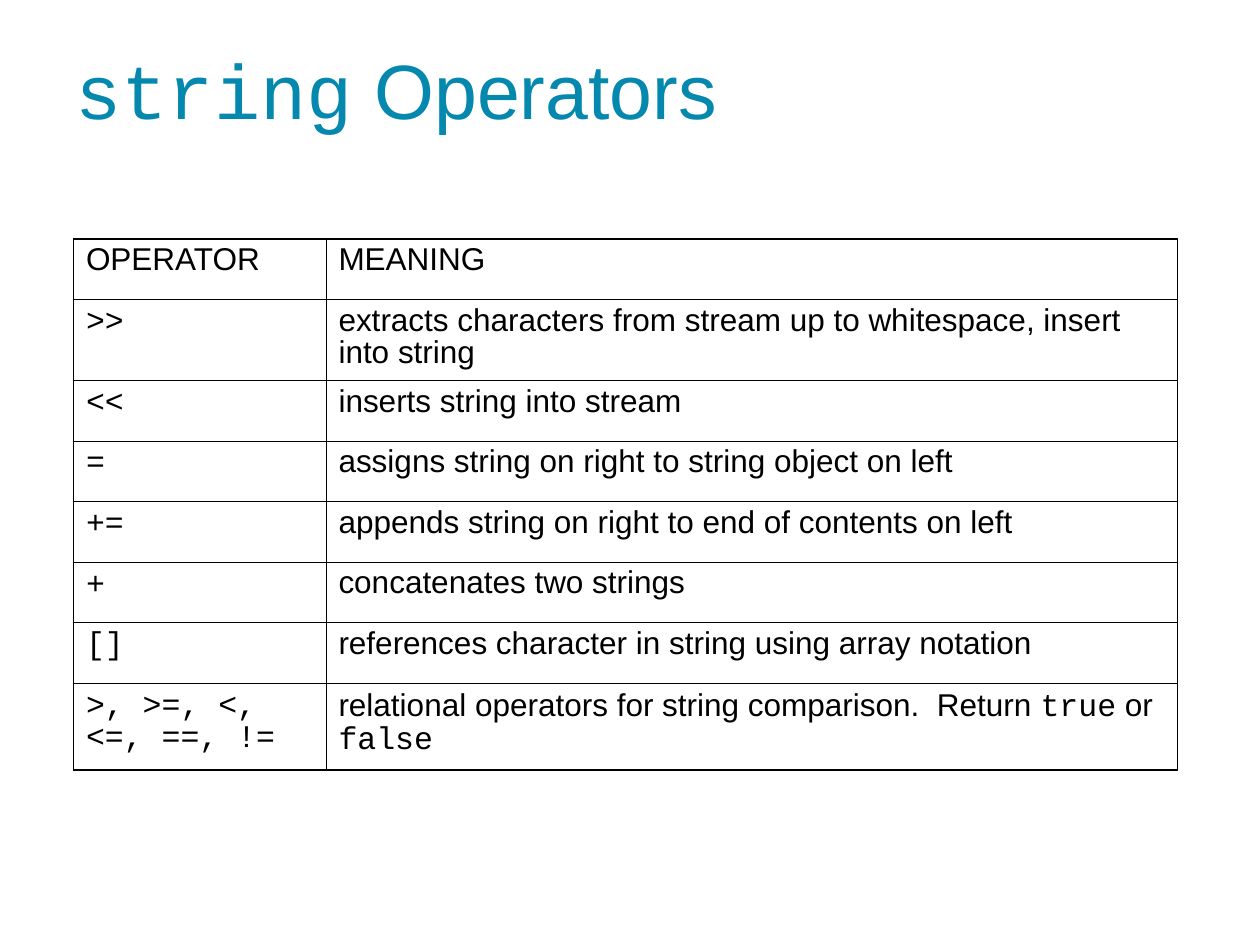
"""Build a slide with a table of the string operators."""
from lxml import etree
from pptx import Presentation
from pptx import util as u
from pptx.dml.color import RGBColor
from pptx.enum import text
from pptx.oxml.ns import qn

SANS, MONO = "Arial", "Courier New"
THIN, THICK = 0.45, 1.08


def add_run(paragraph, words, font_name, size, color):
    run = paragraph.add_run()
    run.text = words
    run.font.name = font_name
    run.font.size = u.Pt(size)
    run.font.bold = False
    run.font.color.rgb = RGBColor.from_string(color)


def add_border(cell, side, width):
    properties = cell._tc.get_or_add_tcPr()
    line = etree.SubElement(properties, qn(f"a:ln{side}"), w=str(u.Pt(width)))
    fill = etree.SubElement(line, qn("a:solidFill"))
    etree.SubElement(fill, qn("a:srgbClr"), val="000000")


presentation = Presentation()
presentation.slide_width, presentation.slide_height = u.Cm(25.4), u.Cm(19.05)
slide = presentation.slides.add_slide(presentation.slide_layouts[5])

title = slide.shapes.title
title.left, title.top, title.width, title.height = u.Cm(1.27), u.Cm(0.2), u.Cm(21.16), u.Cm(3.18)
title.text_frame.vertical_anchor = text.MSO_ANCHOR.MIDDLE
title_paragraph = title.text_frame.paragraphs[0]
title_paragraph.alignment = text.PP_ALIGN.LEFT
add_run(title_paragraph, "string", MONO, 44, "0488AE")
add_run(title_paragraph, " Operators", SANS, 44, "0488AE")

operators = [
    (">>", "extracts characters from stream up to whitespace, insert into string"),
    ("<<", "inserts string into stream"),
    ("=", "assigns string on right to string object on left"),
    ("+=", "appends string on right to end of contents on left"),
    ("+", "concatenates two strings"),
    ("[]", "references character in string using array notation"),
]
rows = [([[("OPERATOR", SANS)]], [[("MEANING", SANS)]])]
rows += [([[(symbol, MONO)]], [[(meaning, SANS)]]) for symbol, meaning in operators]
rows.append((
    [[(">, >=, <,", MONO)], [("<=, ==, !=", MONO)]],
    [[("relational operators for string comparison.  Return ", SANS),
      ("true", MONO), (" or ", SANS), ("false", MONO)]],
))
column_widths = [5.09, 17.17]
row_heights = [1.22, 1.63] + [1.22] * 5 + [1.75]

frame = slide.shapes.add_table(
    len(rows), len(column_widths), u.Cm(1.48), u.Cm(4.82),
    u.Cm(sum(column_widths)), u.Cm(sum(row_heights)))
table = frame.table
table.first_row = table.horz_banding = False
for column, width in zip(table.columns, column_widths):
    column.width = u.Cm(width)
for row, height in zip(table.rows, row_heights):
    row.height = u.Cm(height)

for row_index, row in enumerate(rows):
    for column_index, paragraphs in enumerate(row):
        cell = table.cell(row_index, column_index)
        outer_sides = {
            "L": column_index == 0,
            "R": column_index == len(column_widths) - 1,
            "T": row_index == 0,
            "B": row_index == len(rows) - 1,
        }
        for side, is_outer in outer_sides.items():
            add_border(cell, side, THICK if is_outer else THIN)
        cell.fill.background()
        for index, runs in enumerate(paragraphs):
            text_frame = cell.text_frame
            paragraph = text_frame.add_paragraph() if index else text_frame.paragraphs[0]
            paragraph.line_spacing = 0.9
            for words, font_name in runs:
                add_run(paragraph, words, font_name, 18, "000000")

presentation.save("out.pptx")
